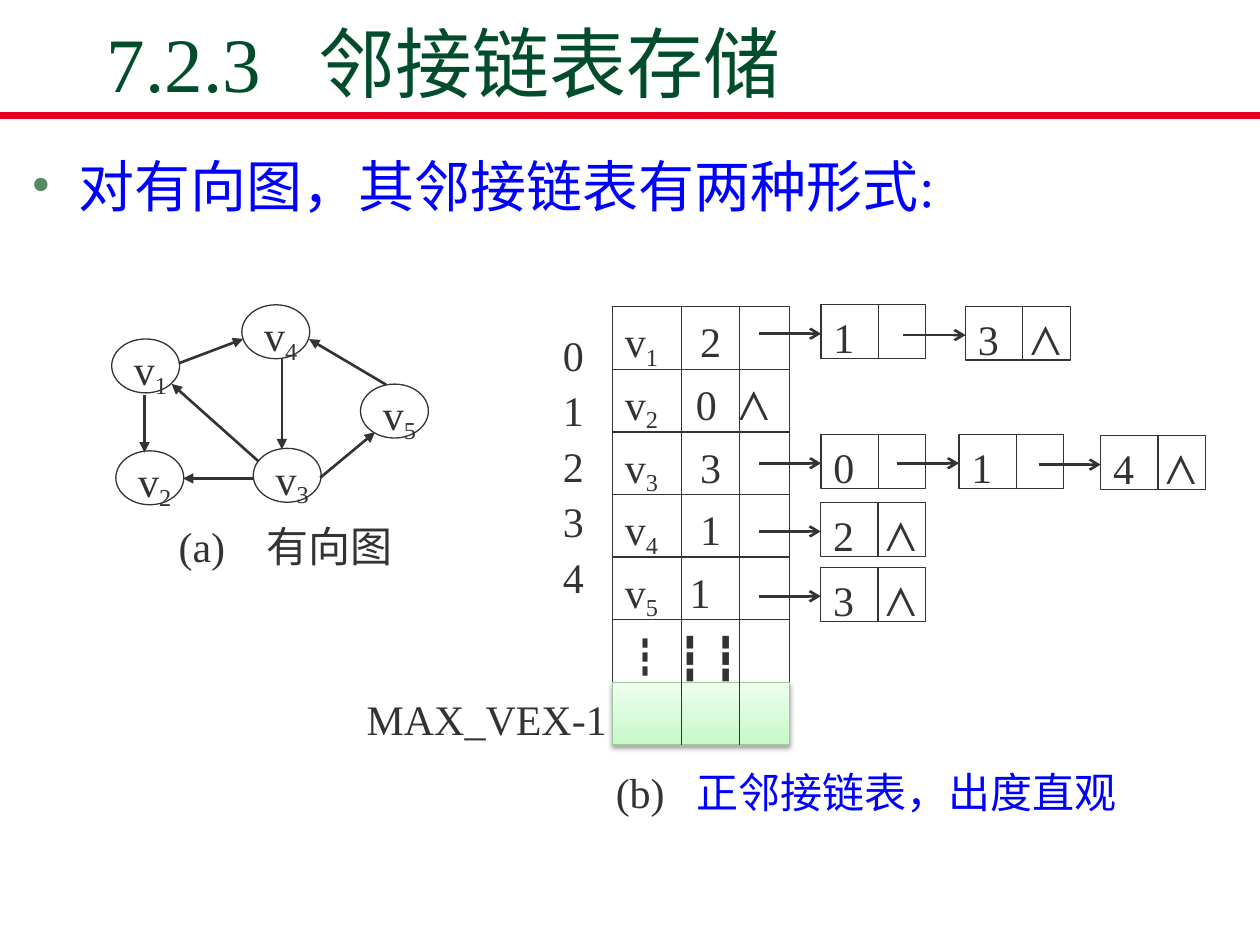
from typing import NamedTuple

from lxml import etree
from pptx import Presentation
from pptx.dml.color import RGBColor
from pptx.enum.shapes import MSO_CONNECTOR, MSO_SHAPE
from pptx.enum.text import MSO_ANCHOR
from pptx.oxml.ns import qn
from pptx.util import Pt

STRAIGHT = MSO_CONNECTOR.STRAIGHT
RECTANGLE, ELLIPSE = MSO_SHAPE.RECTANGLE, MSO_SHAPE.OVAL
TOP, MIDDLE, BOTTOM = MSO_ANCHOR.TOP, MSO_ANCHOR.MIDDLE, MSO_ANCHOR.BOTTOM
SERIF, SANS = "Times New Roman", "Noto Sans CJK SC"
COLORS = {
    "ink": "333333", "title": "004C2B", "blue": "0000FF", "rule": "E60223",
    "bullet": "578963", "green": "C7F8C7", "pale": "EFFEEF",
    "green_line": "9DC99D", "shadow": "000000",
}


class Span(NamedTuple):
    text: str
    subscript: bool = False
    color: str = "ink"
    font: str = SERIF


class Vertex(NamedTuple):
    number: int
    left: float
    top: float


class Arrow(NamedTuple):
    x1: float
    y1: float
    x2: float
    y2: float


class ListNode(NamedTuple):
    text: str
    left: float
    top: float


class HeadRow(NamedTuple):
    spans: list[Span]
    tabs: tuple[float, ...] = ()


def rgb(name: str) -> RGBColor:
    return RGBColor.from_string(COLORS[name])


def add_child(parent, tag: str, **attributes):
    child = etree.SubElement(parent, qn(tag))
    for key, value in attributes.items():
        child.set(key, str(value))
    return child


def write(paragraph, spans: list[Span], size=24, spacing=1.2, tabs=()) -> None:
    """Fill a paragraph with formatted runs and optional tab stops."""
    if spacing:
        paragraph.line_spacing = spacing
    if tabs:
        tab_list = add_child(paragraph._p.get_or_add_pPr(), "a:tabLst")
        for position in tabs:
            add_child(tab_list, "a:tab", pos=Pt(position), algn="l")
    for span in spans:
        run = paragraph.add_run()
        run.text = span.text
        run.font.size = Pt(size)
        run.font.name = span.font
        run.font.color.rgb = rgb(span.color)
        if span.subscript:
            run._r.get_or_add_rPr().set("baseline", "-20000")


def add_text_box(slide, left, top, width, height, anchor=MIDDLE, wrap=False):
    text_frame = slide.shapes.add_textbox(Pt(left), Pt(top), Pt(width), Pt(height)).text_frame
    text_frame.word_wrap = wrap
    text_frame.vertical_anchor = anchor
    return text_frame


def add_outline(slide, kind, left, top, width, height, spans: list[Span], tabs=()):
    shape = slide.shapes.add_shape(kind, Pt(left), Pt(top), Pt(width), Pt(height))
    shape.shadow.inherit = False
    shape.fill.background()
    shape.line.color.rgb = rgb("ink")
    shape.line.width = Pt(0.75)
    shape.text_frame.word_wrap = False
    shape.text_frame.vertical_anchor = MIDDLE
    paragraph = shape.text_frame.paragraphs[0]
    paragraph._p.get_or_add_pPr().set("algn", "l")
    write(paragraph, spans, tabs=tabs)
    return shape


def add_line(slide, line: Arrow, width=0.75, color="ink", arrowhead="") -> None:
    connector = slide.shapes.add_connector(STRAIGHT, *map(Pt, line))
    connector.line.color.rgb = rgb(color)
    connector.line.width = Pt(width)
    if arrowhead:
        add_child(connector.line._get_or_add_ln(), "a:tailEnd", type=arrowhead)
    add_child(connector._element.spPr, "a:effectLst")


def add_divider(slide, x: float, top: float, height: float) -> None:
    add_line(slide, Arrow(x, top, x, top + height))


def add_list_node(slide, node: ListNode) -> None:
    """Draw a two-part list node and the pointer that leads to it."""
    add_outline(slide, RECTANGLE, node.left, node.top, 59.8, 30.8, [Span(node.text)], (30,))
    add_divider(slide, node.left + 32.7, node.top, 30.8)
    y = node.top + 16.5
    add_line(slide, Arrow(node.left - 35.5, y, node.left, y), 1.5, arrowhead="arrow")


def highlight(shape) -> None:
    """Give the spare row a green gradient and a soft shadow."""
    shape.fill.gradient()
    shape.fill.gradient_angle = 90
    for stop, name in zip(shape.fill.gradient_stops, ("green", "pale")):
        stop.color.rgb = rgb(name)
    shape.line.color.rgb = rgb("green_line")
    effects = shape._element.spPr.find(qn("a:effectLst"))
    shadow = add_child(effects, "a:outerShdw", blurRad=Pt(3.1), dist=Pt(1.6),
                       dir=5400000, rotWithShape=0)
    color = add_child(shadow, "a:srgbClr", val=COLORS["shadow"])
    add_child(color, "a:alpha", val=38000)


def vertex_label(number: int) -> list[Span]:
    return [Span("v"), Span(str(number), subscript=True)]


VERTICES = [Vertex(1, 63.8, 193.7), Vertex(2, 66.2, 257.6), Vertex(3, 144.7, 256.2),
            Vertex(4, 138.2, 174.2), Vertex(5, 206, 219.5)]
EDGES = [
    Arrow(82.6, 226, 82.6, 258.6), Arrow(161.1, 204.8, 161.1, 256.8),
    Arrow(147.7, 263.6, 98.1, 219.4), Arrow(102.2, 207.6, 139, 193.7),
    Arrow(145.2, 273.4, 104.6, 273.4), Arrow(220.6, 219.8, 176.6, 193.8),
    Arrow(183, 273, 214.3, 247),
]
HEAD_ROWS = [
    HeadRow(vertex_label(1) + [Span("\t2")], (43,)),
    HeadRow(vertex_label(2) + [Span("\t0\t⋀")], (40.5, 65)),
    HeadRow(vertex_label(3) + [Span("\t3")], (43,)),
    HeadRow(vertex_label(4) + [Span("\t1")], (43,)),
    HeadRow(vertex_label(5) + [Span("\t1")], (37,)),
    HeadRow([Span("┇", font=SANS), Span(" ┇ ┇")]),
    HeadRow([]),
]
LIST_NODES = [
    ListNode("1", 469.2, 174.2), ListNode("3\t⋀", 551.8, 175),
    ListNode("0", 469.2, 248.2), ListNode("1", 548, 248.2), ListNode("4\t⋀", 629, 249),
    ListNode("2\t⋀", 469, 287.2), ListNode("3\t⋀", 469, 324.2),
]
HEAD_LEFT, HEAD_TOP, HEAD_WIDTH, ROW_HEIGHT = 350, 175.2, 101, 35.8


def main() -> None:
    presentation = Presentation()
    presentation.slide_width, presentation.slide_height = Pt(720), Pt(540)
    slide = presentation.slides.add_slide(presentation.slide_layouts[6])

    # Title and rule
    add_line(slide, Arrow(0, 66, 720, 66), 4.5, "rule")
    title = add_text_box(slide, 54, 18.2, 612, 46.8, BOTTOM, True)
    write(title.paragraphs[0], [Span("7.2.3\t邻接链表存储", color="title")], 44, None, (121,))

    # Bulleted statement
    statement = add_text_box(slide, 10.8, 82.8, 702, 46.8, TOP, True).paragraphs[0]
    properties = statement._p.get_or_add_pPr()
    properties.set("marL", str(Pt(27)))
    properties.set("indent", str(Pt(-27)))
    bullet_color = add_child(properties, "a:buClr")
    add_child(bullet_color, "a:srgbClr", val=COLORS["bullet"])
    add_child(properties, "a:buFont", typeface=SERIF)
    add_child(properties, "a:buChar", char="•")
    write(statement, [Span("对有向图，其邻接链表有两种形式:", color="blue")], 32, None)

    # Directed graph
    for vertex in VERTICES:
        add_outline(slide, ELLIPSE, vertex.left, vertex.top, 38.8, 30.8,
                    vertex_label(vertex.number))
    for edge in EDGES:
        add_line(slide, edge, 1.5, arrowhead="triangle")
    graph_caption = add_text_box(slide, 95, 295.2, 145, 28)
    write(graph_caption.paragraphs[0], [Span("(a)\t有向图")], tabs=(50,))

    # Head array with its indices
    for index, row in enumerate(HEAD_ROWS):
        top = HEAD_TOP + index * ROW_HEIGHT
        cell = add_outline(slide, RECTANGLE, HEAD_LEFT, top, HEAD_WIDTH, ROW_HEIGHT,
                           row.spans, row.tabs)
        if not row.spans:
            highlight(cell)
        for divider in (389.6, 422.6):
            add_divider(slide, divider, top, ROW_HEIGHT)
    indices = add_text_box(slide, 314.6, 174.2, 29.5, 180.7)
    for number in range(5):
        paragraph = indices.add_paragraph() if number else indices.paragraphs[0]
        write(paragraph, [Span(str(number))], spacing=1.1)
    last_index = add_text_box(slide, 202.4, 392.4, 158, 31)
    write(last_index.paragraphs[0], [Span("MAX_VEX-1")])

    # Linked lists
    for node in LIST_NODES:
        add_list_node(slide, node)
    list_caption = add_text_box(slide, 344.8, 435.6, 310, 28)
    write(list_caption.paragraphs[0],
          [Span("(b)\t"), Span("正邻接链表，出度直观", color="blue")], tabs=(46,))

    presentation.save("out.pptx")


if __name__ == "__main__":
    main()
